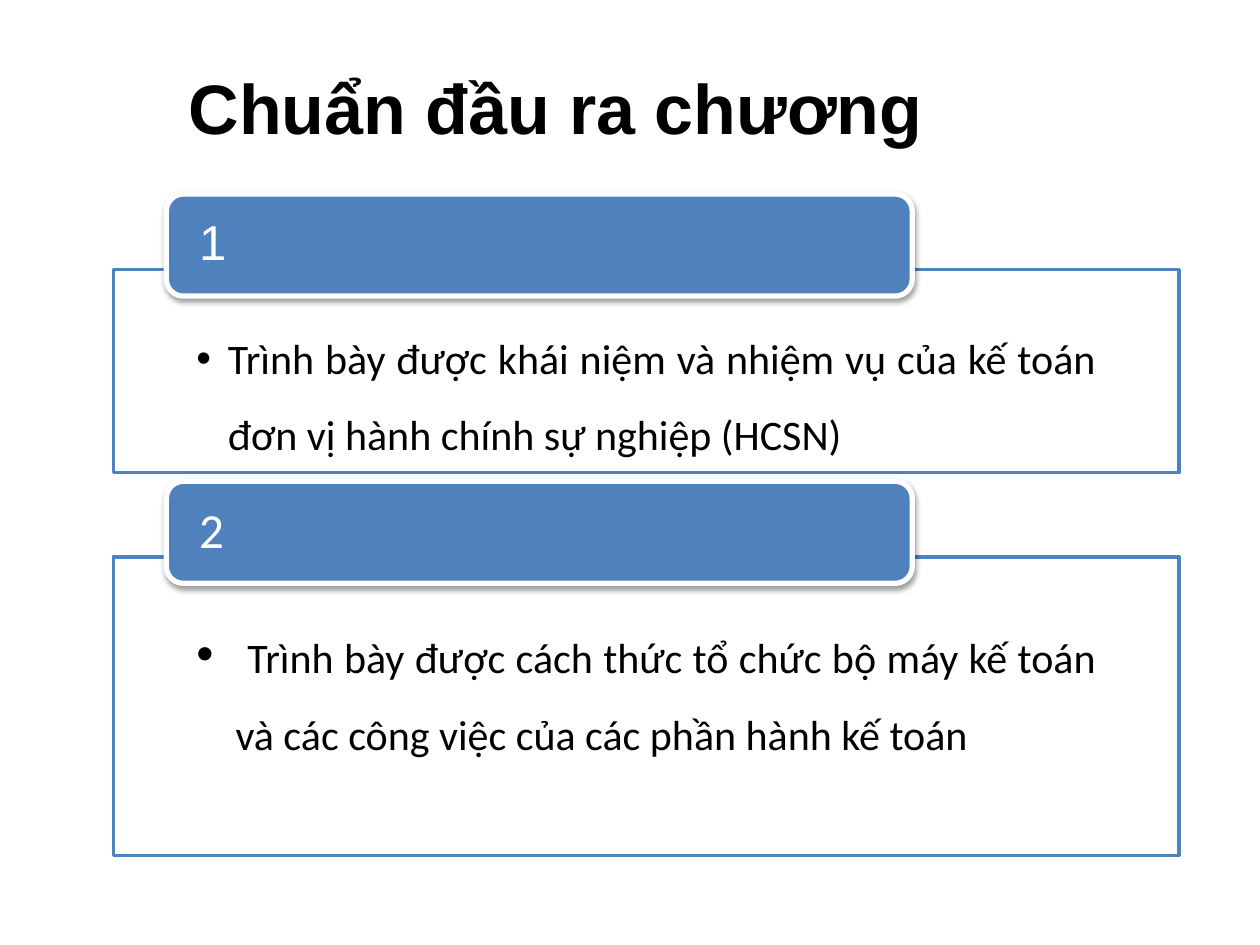
from lxml import etree
from pptx import Presentation
from pptx.dml.color import RGBColor
from pptx.enum.shapes import MSO_SHAPE
from pptx.enum.text import MSO_ANCHOR, MSO_AUTO_SIZE, PP_ALIGN
from pptx.oxml import parse_xml
from pptx.oxml.ns import nsdecls, qn
from pptx.util import Inches, Pt

RECTANGLE, ROUNDED = MSO_SHAPE.RECTANGLE, MSO_SHAPE.ROUNDED_RECTANGLE
TOP, MIDDLE = MSO_ANCHOR.TOP, MSO_ANCHOR.MIDDLE
LEFT, CENTER, JUSTIFY = PP_ALIGN.LEFT, PP_ALIGN.CENTER, PP_ALIGN.JUSTIFY

BLUE = RGBColor(0x4F, 0x81, 0xBD)
WHITE = RGBColor(0xFF, 0xFF, 0xFF)
BLACK = RGBColor(0, 0, 0)

TAB_LEFT, TAB_WIDTH, TAB_HEIGHT = 1.32, 5.92, 0.81
PANEL_LEFT, PANEL_WIDTH = 0.9, 8.46
PANEL_OFFSET = 0.6  # from the top of a tab to the top of its panel

# tab top, panel height, number, number font, bullet indent, (text, size) runs
OUTCOMES = [
    (1.54, 1.61, "1", "Arial", 0.25,
     [("Trình bày được khái niệm và nhiệm vụ của kế toán "
       "đơn vị hành chính sự nghiệp (HCSN)", 24)]),
    (3.82, 2.37, "2", "Calibri", 0.31,
     [(" ", 28),
      ("Trình bày được cách thức tổ chức bộ máy kế toán "
       "và các công việc của các phần hành kế toán ", 24)]),
]


def style_font(font, name, size, color, bold=False):
    font.name = name
    font.size = Pt(size)
    font.color.rgb = color
    font.bold = bold


def set_frame(frame, anchor, side=0.1, top=0.05, bottom=0.05):
    frame.word_wrap = True
    frame.auto_size = MSO_AUTO_SIZE.NONE
    frame.vertical_anchor = anchor
    frame.margin_left = frame.margin_right = Inches(side)
    frame.margin_top, frame.margin_bottom = Inches(top), Inches(bottom)


def add_box(slide, preset, box, fill, line, line_width):
    shape = slide.shapes.add_shape(preset, *map(Inches, box))
    shape.shadow.inherit = False
    shape.fill.solid()
    shape.fill.fore_color.rgb = fill
    shape.line.color.rgb = line
    shape.line.width = Pt(line_width)
    return shape


def set_opacity(shape, percent):
    color = shape.fill._xPr.find(qn("a:solidFill"))[0]
    etree.SubElement(color, qn("a:alpha")).set("val", str(percent * 1000))


def add_drop_shadow(shape):
    effects = shape._element.spPr.find(qn("a:effectLst"))
    effects.append(parse_xml(
        f'<a:outerShdw {nsdecls("a")} blurRad="{Pt(3.1)}" dist="{Pt(1.6)}" '
        'dir="5400000" rotWithShape="0"><a:srgbClr val="000000">'
        '<a:alpha val="38000"/></a:srgbClr></a:outerShdw>'))


def add_bullet(paragraph, indent):
    properties = paragraph._p.get_or_add_pPr()
    properties.set("marL", str(Inches(indent)))
    properties.set("indent", str(-Inches(indent)))
    etree.SubElement(properties, qn("a:buFont")).set("typeface", "Arial")
    etree.SubElement(properties, qn("a:buChar")).set("char", "•")


def add_title(slide, text):
    title = slide.shapes.title
    title.left, title.top = Inches(1.28), Inches(0.46)
    title.width, title.height = Inches(6.26), Inches(0.77)
    set_frame(title.text_frame, TOP)
    title.text_frame.text = text
    paragraph = title.text_frame.paragraphs[0]
    paragraph.alignment = CENTER
    style_font(paragraph.runs[0].font, "Arial", 40, BLACK, bold=True)


def add_panel(slide, top, height, indent, text_runs):
    panel = add_box(slide, RECTANGLE, (PANEL_LEFT, top, PANEL_WIDTH, height),
                    WHITE, BLUE, 2)
    set_opacity(panel, 90)
    set_frame(panel.text_frame, TOP, side=0.66, top=0.3, bottom=0.2)
    paragraph = panel.text_frame.paragraphs[0]
    add_bullet(paragraph, indent)
    paragraph.level = 1
    paragraph.alignment = JUSTIFY
    paragraph.line_spacing = 1.5
    for text, size in text_runs:
        run = paragraph.add_run()
        run.text = text
        style_font(run.font, "Calibri", size, BLACK)


def add_tab(slide, top, number, font_name):
    tab = add_box(slide, ROUNDED, (TAB_LEFT, top, TAB_WIDTH, TAB_HEIGHT),
                  BLUE, WHITE, 3)
    add_drop_shadow(tab)
    # The preset insets its text by about 0.04 inch for the round corners.
    set_frame(tab.text_frame, MIDDLE, side=0.22, top=0, bottom=0)
    tab.text_frame.text = number
    paragraph = tab.text_frame.paragraphs[0]
    paragraph.alignment = LEFT
    paragraph.line_spacing = 0.9
    style_font(paragraph.runs[0].font, font_name, 28, WHITE)


def main():
    presentation = Presentation()
    presentation.slide_width = Inches(10)
    presentation.slide_height = Inches(7.5)
    title_only = presentation.slide_layouts[5]
    slide = presentation.slides.add_slide(title_only)
    add_title(slide, "Chuẩn đầu ra chương")
    for top, height, number, number_font, indent, text_runs in OUTCOMES:
        add_panel(slide, top + PANEL_OFFSET, height, indent, text_runs)
        add_tab(slide, top, number, number_font)
    presentation.save("out.pptx")


if __name__ == "__main__":
    main()
